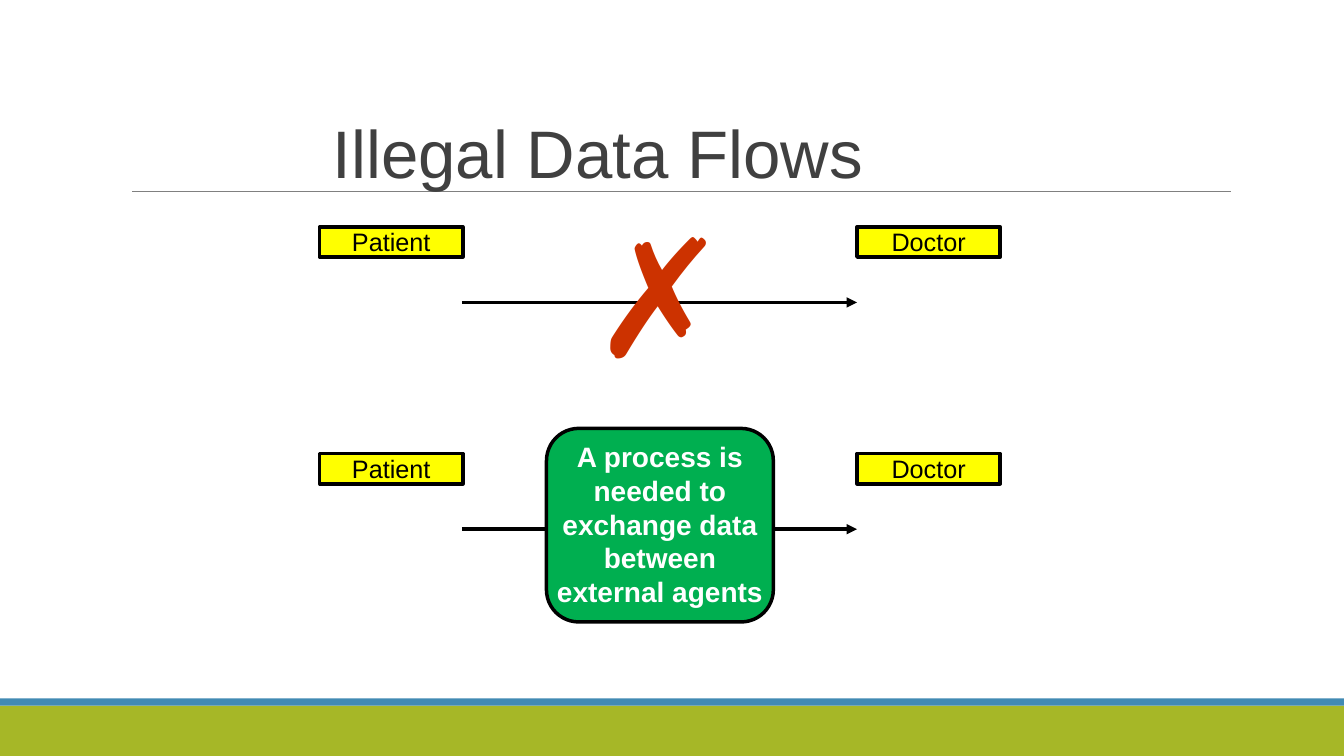
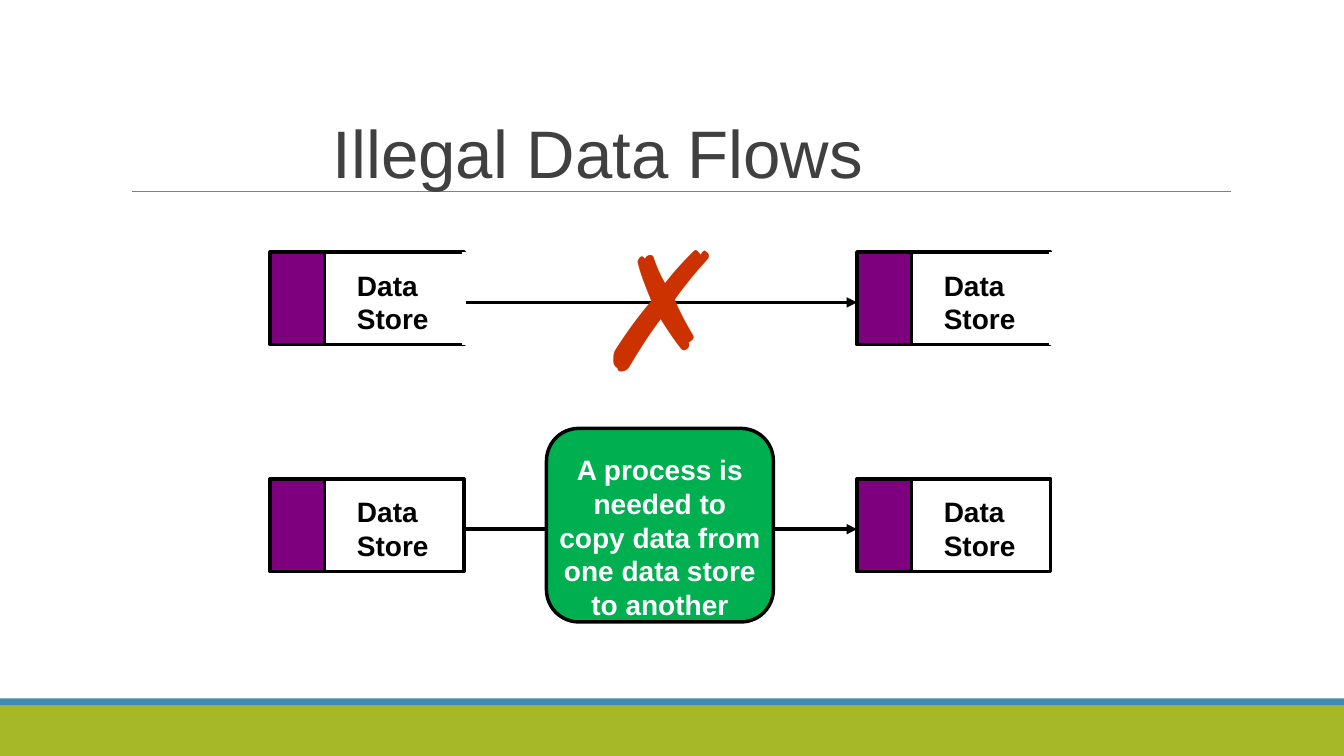
from lxml.etree import SubElement
from pptx import Presentation
from pptx.dml.color import RGBColor
from pptx.enum.shapes import MSO_CONNECTOR as Connector, MSO_SHAPE as Shape
from pptx.enum.text import MSO_ANCHOR as Anchor, MSO_AUTO_SIZE as AutoSize, PP_ALIGN as Align
from pptx.oxml.ns import qn
from pptx.util import Inches, Pt

FONT = "Arial"
BLACK = RGBColor(0x00, 0x00, 0x00)
WHITE = RGBColor(0xFF, 0xFF, 0xFF)
TITLE_GREY = RGBColor(0x40, 0x40, 0x40)
RULE_GREY = RGBColor(0x80, 0x80, 0x80)
BAND_GREEN = RGBColor(0xA6, 0xB7, 0x27)
BAND_BLUE = RGBColor(0x41, 0x8A, 0xB3)
YELLOW = RGBColor(0xFF, 0xFF, 0x00)
PURPLE = RGBColor(0x7F, 0x00, 0x7F)
PROCESS_GREEN = RGBColor(0x00, 0xAF, 0x50)
CROSS_RED = RGBColor(0xCC, 0x32, 0x00)

TITLE = "Illegal Data Flows"
WIDTH, HEIGHT = 13.33, 7.5
FLOW_START, FLOW_END = 4.58, 8.5
ILLEGAL_ROW, LEGAL_ROW = 3.0, 5.25
ROWS = (ILLEGAL_ROW, LEGAL_ROW)
OUTLINE = 2.5

# cross: left, top; insets: left, top, right, bottom of the process text
FLOWS = [
    {"kind": "agent", "ends": [("Patient", 3.17), ("Doctor", FLOW_END)],
     "cross": (5.51, 1.92), "insets": (0, 0.02, 0, 0),
     "process": "A process is needed to exchange data between external agents"},
    {"kind": "store", "ends": [("Data Store", 2.68), ("Data Store", FLOW_END)],
     "cross": (5.54, 2.05), "insets": (0.03, 0.15, 0.03, 0),
     "process": "A process is needed to copy data from one data store to another"},
]


def add_box(page, geometry, left, top, width, height, fill, outlined=True):
    box = page.shapes.add_shape(
        geometry, Inches(left), Inches(top), Inches(width), Inches(height))
    box.shadow.inherit = False
    box.fill.solid()
    box.fill.fore_color.rgb = fill
    if outlined:
        box.line.color.rgb = BLACK
        box.line.width = Pt(OUTLINE)
    else:
        box.line.fill.background()
    return box


def add_line(page, x1, y1, x2, y2, color, weight, arrow=False):
    line = page.shapes.add_connector(
        Connector.STRAIGHT, Inches(x1), Inches(y1), Inches(x2), Inches(y2))
    line.line.color.rgb = color
    line.line.width = Pt(weight)
    if arrow:
        SubElement(line.line._get_or_add_ln(), qn("a:tailEnd"), type="triangle")
    SubElement(line.element.spPr, qn("a:effectLst"))
    return line


def write(shape, text, size, color, bold=False, align=Align.CENTER,
          anchor=Anchor.TOP, insets=(0, 0, 0, 0)):
    frame = shape.text_frame
    frame.word_wrap = True
    frame.auto_size = AutoSize.NONE
    frame.vertical_anchor = anchor
    (frame.margin_left, frame.margin_top,
     frame.margin_right, frame.margin_bottom) = map(Inches, insets)
    frame.text = text
    para = frame.paragraphs[0]
    para.alignment = align
    para.font.name = FONT
    para.font.size = Pt(size)
    para.font.bold = bold
    para.font.color.rgb = color


def decorate_layout(layout, page):
    """Draw the bands and title rule on a page, then move them to its layout."""
    for holder in list(layout.placeholders):
        if holder.placeholder_format.idx != 0:
            layout.shapes.element.remove(holder.element)
    for part in (
        add_box(page, Shape.RECTANGLE, 0, 7, WIDTH, 0.5, BAND_GREEN, False),
        add_box(page, Shape.RECTANGLE, 0, 6.93, WIDTH, 0.07, BAND_BLUE, False),
        add_line(page, 1.31, 1.9, 12.21, 1.9, RULE_GREY, 0.5),
    ):
        layout.shapes.element.append(part.element)


def add_title(page):
    title = page.shapes.title
    title.left, title.top = Inches(3.3), Inches(1.09)
    title.width, title.height = Inches(9.5), Inches(0.81)
    write(title, TITLE, 48, TITLE_GREY, align=Align.LEFT, anchor=Anchor.BOTTOM)


def add_agent(page, name, left, row):
    box = add_box(page, Shape.RECTANGLE, left, row - 0.75, 1.42, 0.3, YELLOW)
    write(box, name, 18, BLACK, anchor=Anchor.MIDDLE)


def add_store(page, name, left, row):
    """Data store with a purple tab; those in the illegal row are open at right."""
    tab, body, height = 0.54, 1.38, 0.92
    top, right = row - 0.5, left + tab + body
    add_box(page, Shape.RECTANGLE, left, top, tab, height, PURPLE)
    box = add_box(page, Shape.RECTANGLE, left + tab, top, body, height, WHITE)
    write(box, name, 20, BLACK, bold=True, align=Align.LEFT,
          insets=(0.32, 0.16, 0.3, 0))
    if row == ILLEGAL_ROW:
        add_line(page, right, top, right, top + height, WHITE, OUTLINE)


def add_cross(page, left, top):
    cross = page.shapes.add_textbox(
        Inches(left), Inches(top), Inches(2.07), Inches(2))
    write(cross, "✗", 117, CROSS_RED)


def add_process(page, text, insets):
    box = add_box(page, Shape.ROUNDED_RECTANGLE,
                  5.42, LEGAL_ROW - 1, 2.25, 1.92, PROCESS_GREEN)
    write(box, text, 20, WHITE, bold=True, insets=insets)


def main():
    deck = Presentation()
    deck.slide_width, deck.slide_height = Inches(WIDTH), Inches(HEIGHT)
    layout = deck.slide_layouts.get_by_name("Title Only")
    add_end = {"agent": add_agent, "store": add_store}
    for number, flow in enumerate(FLOWS):
        page = deck.slides.add_slide(layout)
        if number == 0:
            decorate_layout(layout, page)
        add_title(page)
        for row in ROWS:
            add_line(page, FLOW_START, row, FLOW_END, row, BLACK, OUTLINE, arrow=True)
            for name, left in flow["ends"]:
                add_end[flow["kind"]](page, name, left, row)
        add_cross(page, *flow["cross"])
        add_process(page, flow["process"], flow["insets"])
    deck.save("out.pptx")


if __name__ == "__main__":
    main()
